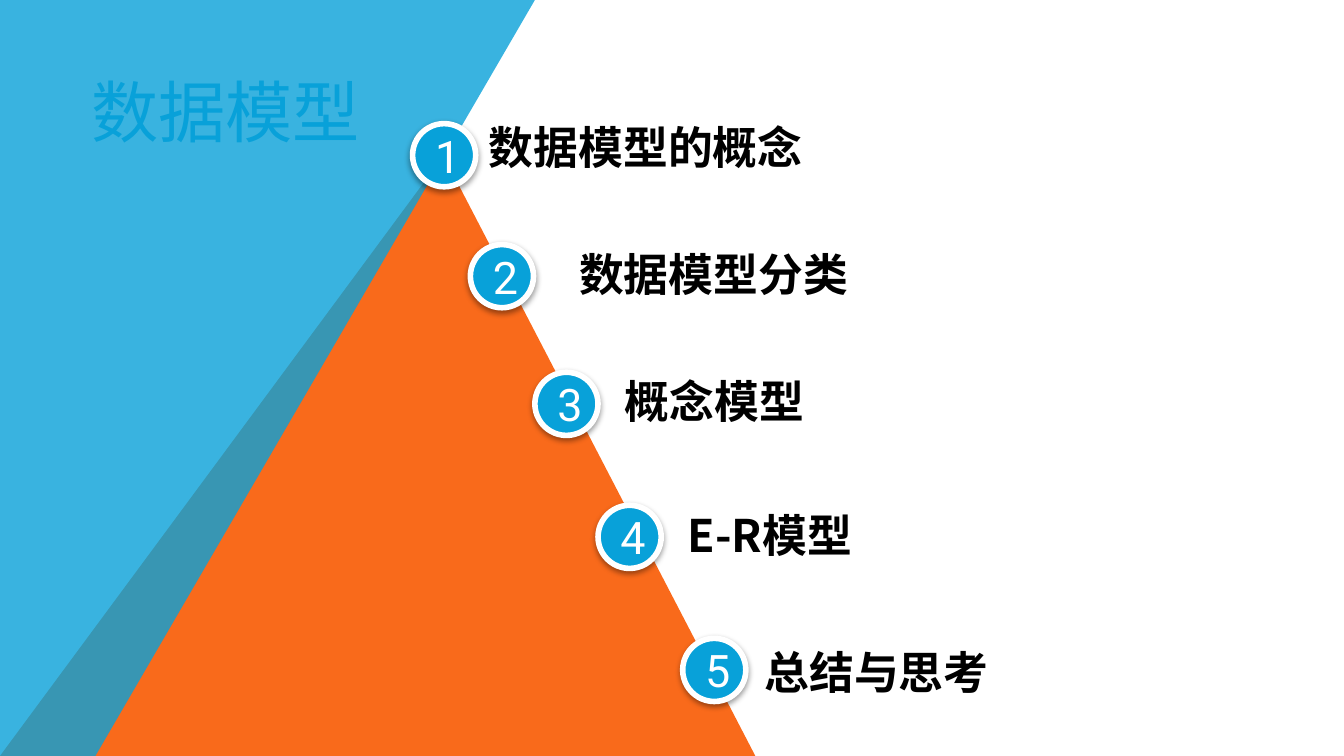
import pptx
import pptx.dml.color
import pptx.enum.shapes
import pptx.enum.text
import pptx.oxml
import pptx.oxml.ns
import pptx.util
from pptx.util import Inches

WIDTH = 10
HEIGHT = WIDTH * 9 / 16
COLORS = {"blue": "08A1D9", "orange": "F96A1B", "white": "FFFFFF", "black": "000000"}
LATIN, CJK = "Roboto", "Noto Sans CJK SC"
TITLE = "数据模型"
# circle left, circle top, label left, label top, label width, label
TOPICS = [
    (3.07, 0.92, 3.54, 0.84, 2.64, "数据模型的概念"),
    (3.50, 1.82, 4.21, 1.79, 2.28, "数据模型分类"),
    (3.98, 2.77, 4.55, 2.73, 2.11, "概念模型"),
    (4.45, 3.76, 5.02, 3.73, 3.84, "E-R模型"),
    (5.08, 4.75, 5.59, 4.75, 1.93, "总结与思考"),
]
# points, colour, opacity in percent
BACKDROP = [
    ([(0, HEIGHT), (3.3, 1.16), (5.62, HEIGHT)], "orange", 100),
    ([(0, 0), (3.98, 0), (0.71, HEIGHT), (0, HEIGHT)], "blue", 80),
]
DIAMETER, LABEL_HEIGHT = 0.47, 0.5
NS = pptx.oxml.ns.nsdecls("a")
SHADOW = (
    f'<a:effectLst {NS}><a:outerShdw blurRad="39370" dist="20320" dir="5400000" '
    f'rotWithShape="0"><a:srgbClr val="{COLORS["black"]}"><a:alpha val="38000"/>'
    "</a:srgbClr></a:outerShdw></a:effectLst>"
)


def rgb(name):
    return pptx.dml.color.RGBColor.from_string(COLORS[name])


def paint(sp, color):
    sp.fill.solid()
    sp.fill.fore_color.rgb = rgb(color)


def write(sp, text, color, align, typeface, size=24, bold=False):
    tf = sp.text_frame
    tf.word_wrap = True
    p = tf.paragraphs[0]
    p.alignment = align
    r = p.add_run()
    r.text = text
    fmt = {"size": pptx.util.Pt(size), "bold": bold, "name": typeface}
    for key, value in fmt.items():
        setattr(r.font, key, value)
    r.font.color.rgb = rgb(color)
    r.font._element.find(pptx.oxml.ns.qn("a:latin")).addnext(
        pptx.oxml.parse_xml(f'<a:ea {NS} typeface="{CJK}"/>'))


def add_polygon(s, points, color, opacity):
    corners = [(Inches(x), Inches(y)) for x, y in points]
    builder = s.shapes.build_freeform(*corners[0])
    builder.add_line_segments(corners[1:], close=True)
    sp = builder.convert_to_shape()
    paint(sp, color)
    sp.line.fill.background()
    sp.shadow.inherit = False
    if opacity < 100:
        clr = next(sp._element.spPr.iter(pptx.oxml.ns.qn("a:srgbClr")))
        clr.append(pptx.oxml.parse_xml(f'<a:alpha {NS} val="{opacity * 1000}"/>'))


def add_topic(s, number, left, top, label_left, label_top, label_width, label):
    align = pptx.enum.text.PP_ALIGN
    sp = s.shapes.add_shape(pptx.enum.shapes.MSO_SHAPE.OVAL, Inches(left), Inches(top),
                            Inches(DIAMETER), Inches(DIAMETER))
    paint(sp, "blue")
    sp.line.color.rgb = rgb("white")
    sp.line.width = pptx.util.Pt(3)
    sp._element.spPr.append(pptx.oxml.parse_xml(SHADOW))
    sp.text_frame.vertical_anchor = pptx.enum.text.MSO_ANCHOR.MIDDLE
    write(sp, str(number), "white", align.CENTER, LATIN)

    box = s.shapes.add_textbox(Inches(label_left), Inches(label_top),
                               Inches(label_width), Inches(LABEL_HEIGHT))
    box.text_frame.auto_size = pptx.enum.text.MSO_AUTO_SIZE.SHAPE_TO_FIT_TEXT
    write(box, label, "black", align.LEFT, CJK, bold=True)


def main():
    prs = pptx.Presentation()
    prs.slide_width, prs.slide_height = Inches(WIDTH), Inches(HEIGHT)
    s = prs.slides.add_slide(prs.slide_layouts[5])

    for points, color, opacity in BACKDROP:
        add_polygon(s, points, color, opacity)

    title = s.shapes.title
    place = {"left": 0.58, "top": 0.42, "width": 2.6, "height": 0.8}
    for key, value in place.items():
        setattr(title, key, Inches(value))
    title.text_frame.vertical_anchor = pptx.enum.text.MSO_ANCHOR.MIDDLE
    write(title, TITLE, "blue", pptx.enum.text.PP_ALIGN.LEFT, LATIN, size=36)
    s.shapes._spTree.append(title._element)  # bring in front of the backdrop

    for number, topic in enumerate(TOPICS, 1):
        add_topic(s, number, *topic)
    prs.save("out.pptx")


if __name__ == "__main__":
    main()
